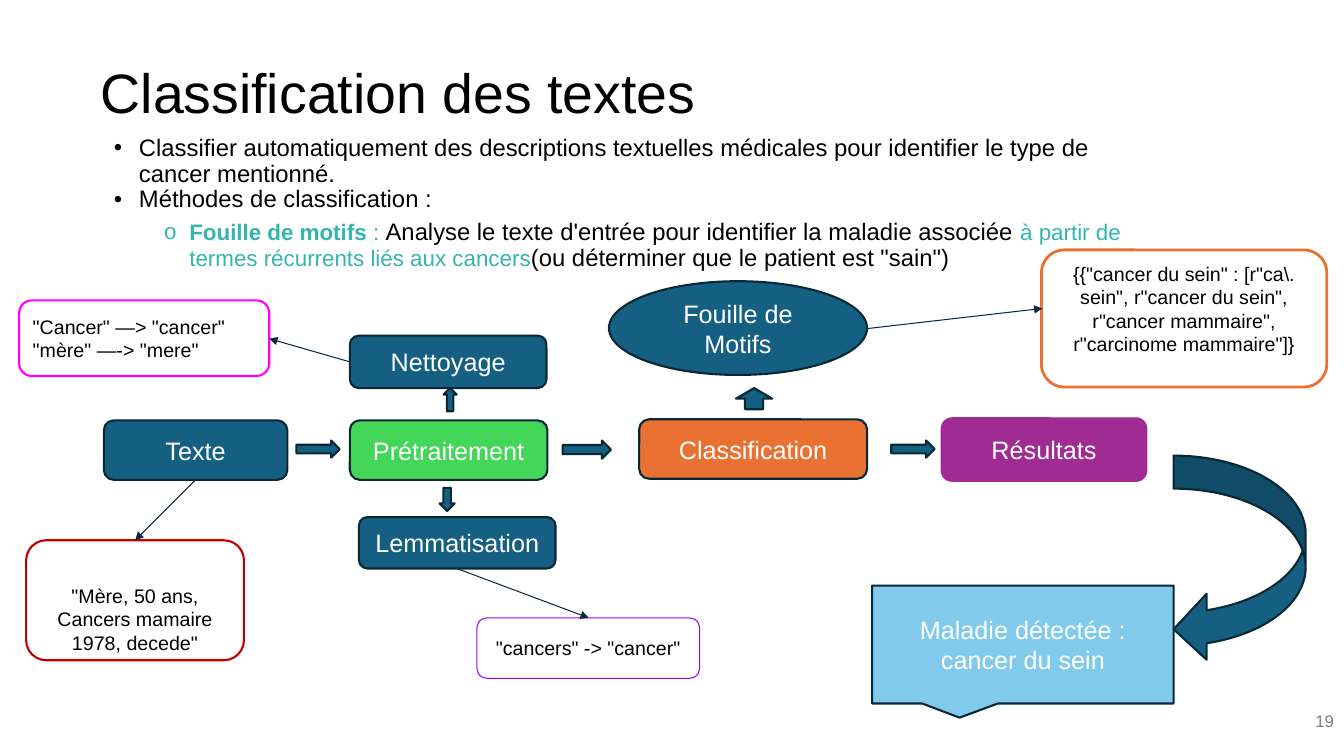
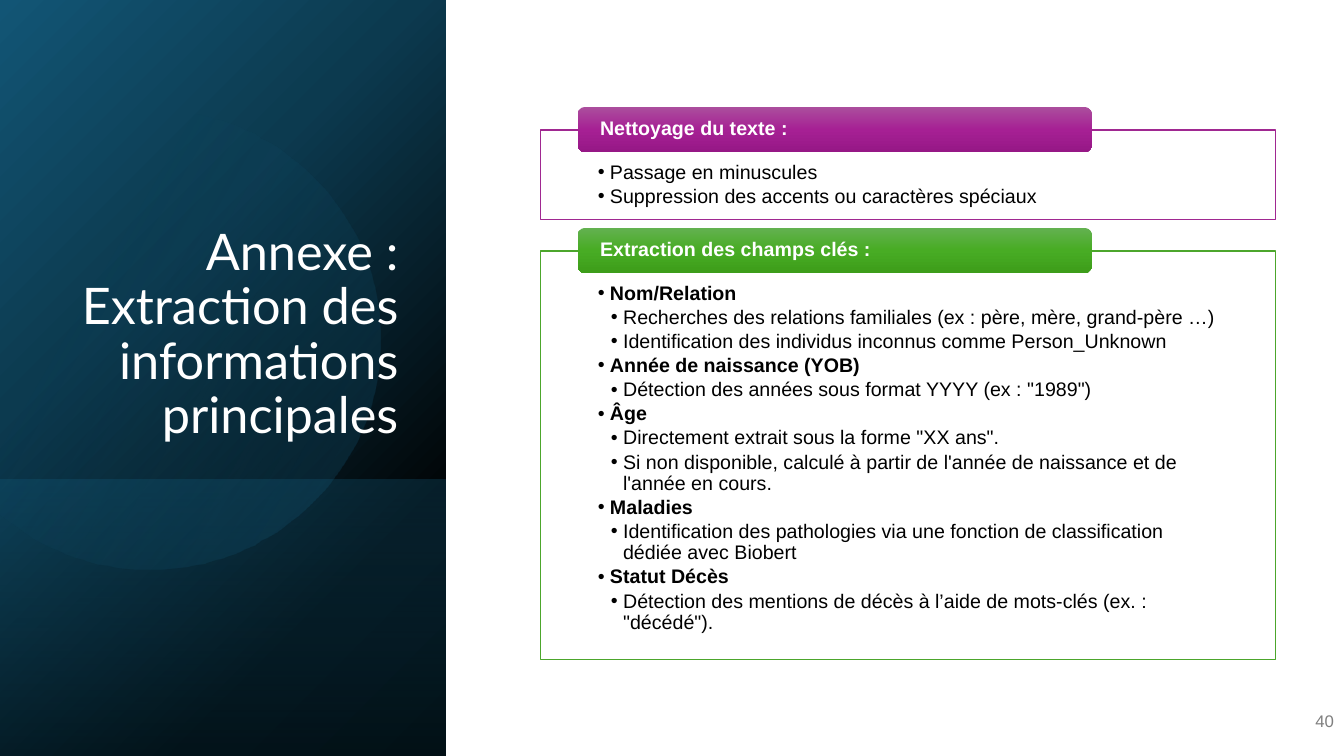
import math

import pptx
import pptx.dml.color
import pptx.enum.shapes
import pptx.enum.text
import pptx.oxml
import pptx.oxml.ns
import pptx.util
from lxml import etree

SCALE = 9144  # EMU in one px, 100 px to the inch
WIDTH, HEIGHT = 1333, 750
PANEL_WIDTH = 442

BLACK, WHITE, GREY = "000000", "FFFFFF", "7F7F7F"
BLUE, OUTLINE, NAVY = "156082", "082836", "0E2841"
TEAL, ORANGE, PURPLE = "34B5AD", "E97132", "A02B93"

SHAPE = pptx.enum.shapes.MSO_SHAPE
ALIGN = pptx.enum.text.PP_ALIGN
ANCHOR = pptx.enum.text.MSO_ANCHOR
qn = pptx.oxml.ns.qn


def px(length):
    return pptx.util.Emu(length * SCALE)


def rgb(value):
    return pptx.dml.color.RGBColor.from_string(value)


def apply(target, values):
    for name, value in values.items():
        setattr(target, name, value)


def item(spans, indent, hang, before=0, bullet="•", color=BLACK):
    """Describe one bulleted paragraph; spans are (text, font values) pairs."""
    return dict(spans=spans, indent=indent, hang=hang, before=before,
                bullet=bullet, color=color)


class Deck:
    def __init__(self):
        self.deck = pptx.Presentation()
        apply(self.deck, dict(slide_width=px(WIDTH), slide_height=px(HEIGHT)))
        self.page = None

    def new_page(self):
        self.page = self.deck.slides.add_slide(self.deck.slide_layouts[6])

    def bullet(self, para, entry):
        properties = para._p.get_or_add_pPr()
        properties.set("marL", str(px(entry["indent"])))
        properties.set("indent", str(-px(entry["hang"])))
        color = etree.SubElement(properties, qn("a:buClr"))
        etree.SubElement(color, qn("a:srgbClr"), val=entry["color"])
        etree.SubElement(properties, qn("a:buFont"), typeface="Arial")
        etree.SubElement(properties, qn("a:buChar"), char=entry["bullet"])

    def fill_text(self, box, entries, size=18, color=WHITE, font="Arial", bold=False,
                  align=ALIGN.LEFT, anchor=ANCHOR.MIDDLE, insets=(10, 5, 10, 5),
                  spacing=1.0):
        """Fill a shape with paragraphs, each a string or an item()."""
        frame = box.text_frame
        left, top, right, bottom = map(px, insets)
        apply(frame, dict(word_wrap=True, vertical_anchor=anchor, margin_left=left,
                          margin_top=top, margin_right=right, margin_bottom=bottom))
        for index, entry in enumerate(entries):
            para = frame.add_paragraph() if index else frame.paragraphs[0]
            spans = [(entry, {})]
            if isinstance(entry, dict):
                spans = entry["spans"]
                self.bullet(para, entry)
                if index:
                    para.space_before = pptx.util.Pt(entry["before"])
            apply(para, dict(alignment=align, line_spacing=spacing))
            for text, change in spans:
                style = dict(size=size, color=color, bold=bold) | change
                span = para.add_run()
                span.text = text
                apply(span.font, dict(name=font, size=pptx.util.Pt(style["size"]),
                                      bold=style["bold"]))
                span.font.color.rgb = rgb(style["color"])

    def text(self, place, entries, **style):
        self.fill_text(self.page.shapes.add_textbox(*map(px, place)), entries, **style)

    def gradient(self, shape, stops, angle):
        """Stops are (position %, colour, opacity %); the angle runs clockwise."""
        shape.fill.gradient()
        shape.fill.gradient_angle = 360 - angle
        stop_list = shape._element.spPr.find(qn("a:gradFill")).find(qn("a:gsLst"))
        for old in list(stop_list):
            stop_list.remove(old)
        for position, color, opacity in stops:
            stop = etree.SubElement(stop_list, qn("a:gs"), pos=str(position * 1000))
            tint = etree.SubElement(stop, qn("a:srgbClr"), val=color)
            etree.SubElement(tint, qn("a:alpha"), val=str(opacity * 1000))

    def finish(self, shape, fill, line=None, weight=1.5, angle=90):
        shape.shadow.inherit = False
        if isinstance(fill, str):
            shape.fill.solid()
            shape.fill.fore_color.rgb = rgb(fill)
        else:
            self.gradient(shape, fill, angle)
        if line:
            shape.line.color.rgb = rgb(line)
            shape.line.width = pptx.util.Pt(weight)
        else:
            shape.line.fill.background()

    def shape(self, kind, place, fill, line=None, weight=1.5, angle=90, adjust=()):
        shape = self.page.shapes.add_shape(kind, *map(px, place))
        for index, value in enumerate(adjust):
            shape.adjustments[index] = value
        self.finish(shape, fill, line, weight, angle)
        return shape

    def outline(self, points, fill, angle):
        builder = self.page.shapes.build_freeform(*points[0], scale=SCALE)
        builder.add_line_segments(points[1:], close=True)
        self.finish(builder.convert_to_shape(), fill, angle=angle)

    def step(self, label, place, fill=BLUE, line=OUTLINE, kind=SHAPE.ROUNDED_RECTANGLE,
             adjust=()):
        box = self.shape(kind, place, fill, line, adjust=adjust)
        self.fill_text(box, [label], align=ALIGN.CENTER)

    def example(self, lines, place, line, weight=1.5, **style):
        box = self.shape(SHAPE.ROUNDED_RECTANGLE, place, WHITE, line, weight)
        self.fill_text(box, lines, **(dict(size=14, color=BLACK, align=ALIGN.CENTER) | style))

    def link(self, start, end):
        link = self.page.shapes.add_connector(
            pptx.enum.shapes.MSO_CONNECTOR.STRAIGHT, *map(px, start + end))
        link.line.color.rgb = rgb(NAVY)
        link.line.width = pptx.util.Pt(0.75)
        etree.SubElement(link.line._get_or_add_ln(), qn("a:tailEnd"), type="triangle")
        etree.SubElement(link._element.spPr, qn("a:effectLst"))

    def title(self, text, place, **style):
        self.text(place, [text], spacing=0.9, **style)

    def number(self, value):
        self.text((1033, 695, 300, 40), [str(value)], size=12, color=GREY, align=ALIGN.RIGHT)

    def card(self, heading, items, top, height, line, shades):
        """Draw a framed list with a heading tab over its top edge."""
        frame = self.shape(SHAPE.RECTANGLE, (536, top, 729, height), WHITE, line, 1)
        self.fill_text(frame, items, size=14, color=BLACK, anchor=ANCHOR.TOP,
                       insets=(57, 32, 57, 11), spacing=0.9)
        stops = [(position, shade, 100) for position, shade in zip((0, 50, 100), shades)]
        tab = self.shape(SHAPE.ROUNDED_RECTANGLE, (573, top - 23, 510, 45), stops)
        self.fill_text(tab, [heading], size=14, bold=True, insets=(20, 0, 20, 0), spacing=0.9)


def classification(deck):
    deck.new_page()
    deck.title("Classification des textes", (90, 63, 815, 64), size=39.6, color=BLACK)
    accent = dict(size=16, color=TEAL)
    deck.text((103, 130, 1041, 150), [
        item([("Classifier automatiquement des descriptions textuelles médicales pour "
               "identifier le type de cancer mentionné.", {})], 25, 25),
        item([("Méthodes de classification :", {})], 25, 25),
        item([("Fouille de motifs ", accent | dict(bold=True)),
              (": ", accent),
              ("Analyse le texte d'entrée pour identifier la maladie associée ", {}),
              ("à partir de termes récurrents liés aux cancers", accent),
              ("(ou déterminer que le patient est \"sain\")", {})],
             75, 25, before=5, bullet="o", color=TEAL),
    ], size=17, color=BLACK, anchor=ANCHOR.TOP, spacing=0.9)

    deck.step("Texte", (103, 417, 182, 59))
    deck.step("Prétraitement", (347, 417, 196, 59), "43D658")
    deck.step("Classification", (634, 416, 226, 59), ORANGE)
    deck.step("Résultats", (934, 415, 203, 62), PURPLE, PURPLE)
    deck.step("Fouille de Motifs", (604, 279, 256, 93), kind=SHAPE.OVAL)
    deck.step("Nettoyage", (347, 333, 195, 52))
    deck.step("Lemmatisation", (356, 513, 195, 51))
    deck.step("Maladie détectée : cancer du sein", (865, 581, 299, 117), "82CAEB",
              kind=SHAPE.ROUNDED_RECTANGULAR_CALLOUT, adjust=(-0.21, 0.62, 0))

    for kind, place in (
        (SHAPE.RIGHT_ARROW, (294, 437, 43, 17)),
        (SHAPE.RIGHT_ARROW, (558, 437, 48, 18)),
        (SHAPE.RIGHT_ARROW, (884, 437, 43, 17)),
        (SHAPE.UP_ARROW, (730, 385, 36, 21)),
        (SHAPE.UP_ARROW, (440, 385, 13, 23)),
        (SHAPE.DOWN_ARROW, (436, 484, 15, 23)),
        (SHAPE.CURVED_LEFT_ARROW, (1164, 452, 131, 205)),
    ):
        deck.shape(kind, place, BLUE, OUTLINE)

    deck.example(["\"Cancer\" —> \"cancer\"", "\"mère\" —-> \"mere\""],
                 (19, 298, 248, 75), "FF00FF", align=ALIGN.LEFT)
    deck.example(["\"cancers\" -> \"cancer\""], (473, 613, 221, 60), "9900FF", 0.75)
    deck.example(["\"Mère, 50 ans, Cancers mamaire 1978, decede\""],
                 (26, 536, 216, 119), "C00000", anchor=ANCHOR.BOTTOM, insets=(10, 10, 10, 0))
    deck.example(["{{\"cancer du sein\" : [r\"ca\\. sein\", r\"cancer du sein\", "
                  "r\"cancer mammaire\", r\"carcinome mammaire\"]}"],
                 (1033, 248, 283, 136), ORANGE, 2, anchor=ANCHOR.TOP)
    for start, end in (
        ((347, 359), (267, 336)),
        ((453, 564), (584, 613)),
        ((860, 326), (1034, 306)),
        ((194, 476), (134, 536)),
    ):
        deck.link(start, end)
    deck.number(19)


def side_panel(deck):
    deck.shape(SHAPE.RECTANGLE, (0, 0, PANEL_WIDTH, HEIGHT),
               [(0, "125575", 100), (35, "0C3A4F", 100), (78, "010507", 100),
                (100, BLACK, 100)], angle=45)
    deck.shape(SHAPE.RECTANGLE, (0, 476, PANEL_WIDTH, HEIGHT - 476),
               [(0, BLUE, 29), (100, "06222E", 50)], angle=90)
    center_x, center_y, radius = 149, 337, 228
    reach = math.degrees(math.acos(-center_x / radius))
    angles = [math.radians(reach * step / 60) for step in range(-60, 61)]
    disc = [(round(center_x + radius * math.cos(angle)),
             round(center_y + radius * math.sin(angle))) for angle in angles]
    deck.outline(disc, [(0, BLUE, 0), (30, BLUE, 0), (100, BLUE, 30)], angle=30)


def extraction(deck):
    deck.new_page()
    side_panel(deck)
    deck.title("Annexe : Extraction des informations principales", (64, 184, 341, 262),
               size=36, font="Lato", align=ALIGN.RIGHT, anchor=ANCHOR.BOTTOM)

    def entry(text, level=1, bold=False):
        return item([(text, dict(bold=bold))], (12, 25)[level - 1], 12, before=2.1)

    deck.card("Nettoyage du texte :", [
        entry("Passage en minuscules"),
        entry("Suppression des accents ou caractères spéciaux"),
    ], 129, 89, "A02891", ("AB4E9D", "A62094", "961886"))

    fields = {
        "Nom/Relation": [
            "Recherches des relations familiales (ex : père, mère, grand-père …)",
            "Identification des individus inconnus comme Person_Unknown"],
        "Année de naissance (YOB)": ["Détection des années sous format YYYY (ex : \"1989\")"],
        "Âge": [
            "Directement extrait sous la forme \"XX ans\".",
            "Si non disponible, calculé à partir de l'année de naissance et de "
            "l'année en cours."],
        "Maladies": ["Identification des pathologies via une fonction de classification "
                     "dédiée avec Biobert"],
        "Statut Décès": ["Détection des mentions de décès à l’aide de mots-clés (ex. : "
                         "\"décédé\")."],
    }
    entries = []
    for field, details in fields.items():
        entries.append(entry(field, bold=True))
        entries.extend(entry(detail, level=2) for detail in details)
    deck.card("Extraction des champs clés :", entries, 249, 405, "4CA62C",
              ("63B150", "48AC24", "3D9D1A"))
    deck.number(40)


def main():
    deck = Deck()
    classification(deck)
    extraction(deck)
    deck.deck.save("out.pptx")


if __name__ == "__main__":
    main()
